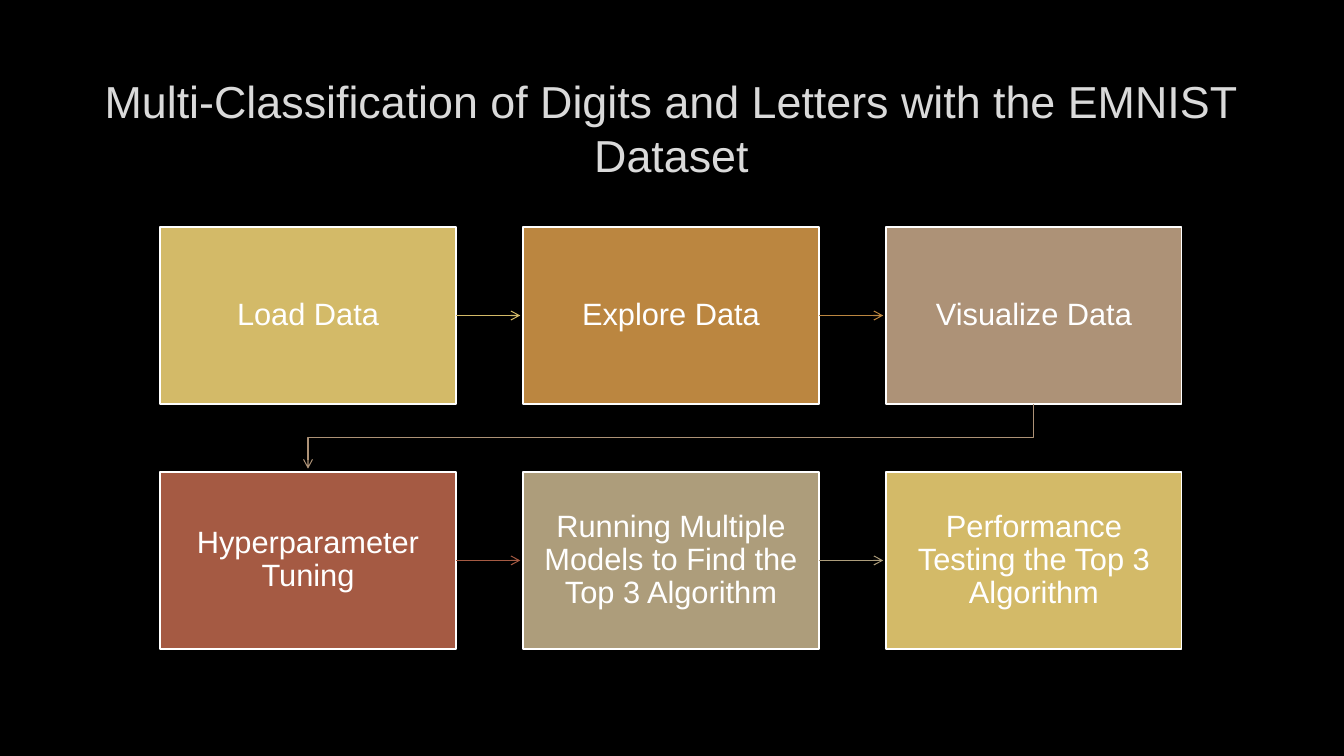
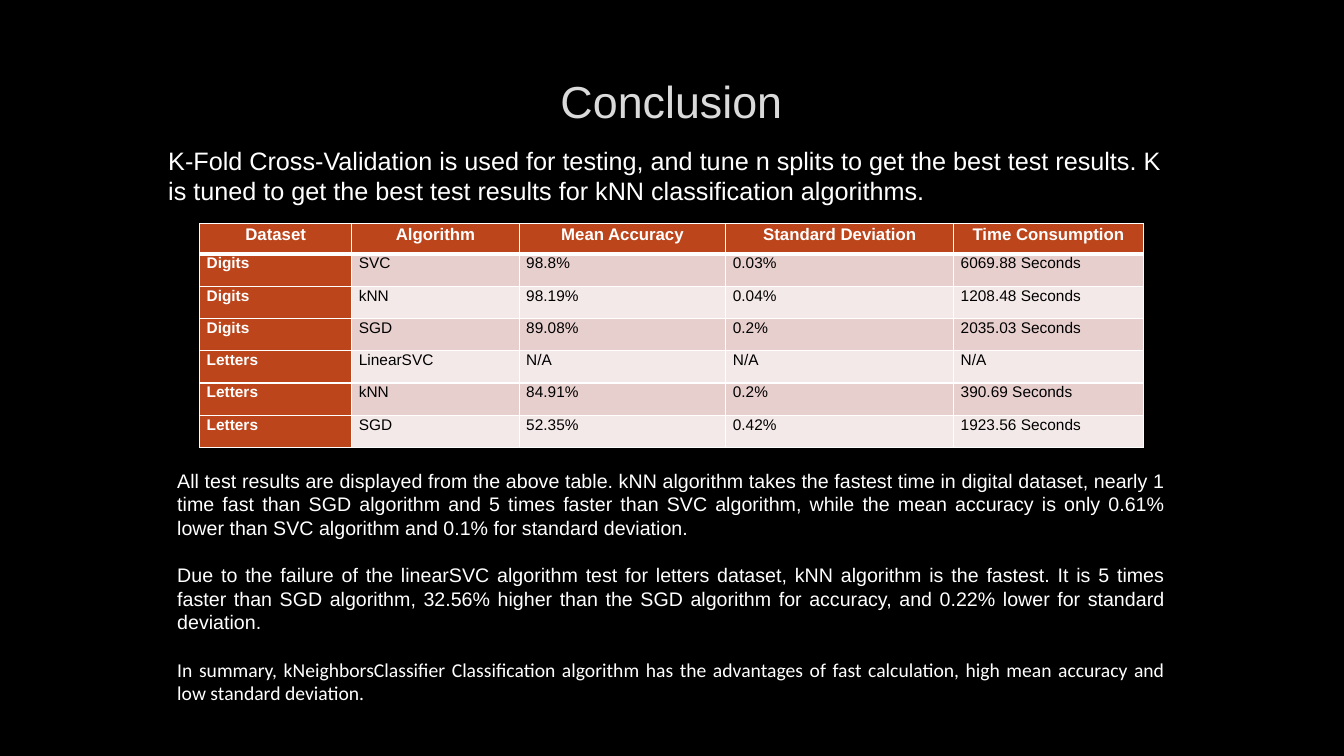
import pptx
import pptx.dml.color
import pptx.enum.shapes
import pptx.enum.text
import pptx.oxml
import pptx.oxml.ns
import pptx.util

Inches = pptx.util.Inches
Pt = pptx.util.Pt
ALIGN = pptx.enum.text.PP_ALIGN
ANCHOR = pptx.enum.text.MSO_ANCHOR

COLORS = {
    "background": "000000",
    "title": "DADADA",
    "white": "FFFFFF",
    "black": "000000",
    "gold": "D3BA68",
    "ochre": "BB8640",
    "taupe": "AD9277",
    "brick": "A55A43",
    "khaki": "AD9D7B",
    "header": "BC451B",
    "band_dark": "E7CFCD",
    "band_light": "F3E9E8",
}

STEPS = [
    ("Load Data", "gold"),
    ("Explore Data", "ochre"),
    ("Visualize Data", "taupe"),
    ("Hyperparameter Tuning", "brick"),
    ("Running Multiple Models to Find the Top 3 Algorithm", "khaki"),
    ("Performance Testing the Top 3 Algorithm", "gold"),
]
STEP_COLUMNS = 3
STEP_LEFT, STEP_TOP = 1.59, 2.25
STEP_WIDTH, STEP_HEIGHT = 2.93, 1.76
STEP_PITCH_X, STEP_PITCH_Y = 3.6, 2.43
ARROW_GAP = 0.03

RESULTS = [
    ("Dataset", "Algorithm", "Mean Accuracy", "Standard Deviation", "Time Consumption"),
    ("Digits", "SVC", "98.8%", "0.03%", "6069.88 Seconds"),
    ("Digits", "kNN", "98.19%", "0.04%", "1208.48 Seconds"),
    ("Digits", "SGD", "89.08%", "0.2%", "2035.03 Seconds"),
    ("Letters", "LinearSVC", "N/A", "N/A", "N/A"),
    ("Letters", "kNN", "84.91%", "0.2%", "390.69 Seconds"),
    ("Letters", "SGD", "52.35%", "0.42%", "1923.56 Seconds"),
]
RESULT_WIDTHS = [1.51, 1.66, 2.05, 2.26, 1.88]

INTRO = (
    "K-Fold Cross-Validation is used for testing, and tune n splits to get the best test "
    "results. K is tuned to get the best test results for kNN classification algorithms."
)
FINDINGS = [
    "All test results are displayed from the above table. kNN algorithm takes the fastest time "
    "in digital dataset, nearly 1 time fast than SGD algorithm and 5 times faster than SVC "
    "algorithm, while the mean accuracy is only 0.61% lower than SVC algorithm and 0.1% for "
    "standard deviation.",
    "Due to the failure of the linearSVC algorithm test for letters dataset, kNN algorithm is "
    "the fastest. It is 5 times faster than SGD algorithm, 32.56% higher than the SGD algorithm "
    "for accuracy, and 0.22% lower for standard deviation.",
]
SUMMARY = (
    "In summary, kNeighborsClassifier Classification algorithm has the advantages of fast "
    "calculation, high mean accuracy and low standard deviation."
)


def rgb(name):
    return pptx.dml.color.RGBColor.from_string(COLORS[name])


def write(tf, text, size=14, color="white", font="Arial", bold=False, align=ALIGN.LEFT,
          before=0, after=0, spacing=1.0):
    """Fill the first paragraph of a text frame, or append one if it is taken."""
    p = tf.paragraphs[0]
    if p.runs:
        p = tf.add_paragraph()
    p.alignment = align
    p.space_before, p.space_after = Pt(before), Pt(after)
    p.line_spacing = spacing
    r = p.add_run()
    r.text = text
    r.font.size, r.font.name, r.font.bold = Pt(size), font, bold
    r.font.color.rgb = rgb(color)


def add_slide(prs, title, left, top, width, height):
    s = prs.slides.add_slide(prs.slide_layouts.get_by_name("Title Only"))
    sp = s.shapes.title
    sp.left, sp.top = Inches(left), Inches(top)
    sp.width, sp.height = Inches(width), Inches(height)
    tf = sp.text_frame
    tf.auto_size = pptx.enum.text.MSO_AUTO_SIZE.NONE
    tf.word_wrap = True
    tf.vertical_anchor = ANCHOR.MIDDLE
    write(tf, title, size=32, color="title", align=ALIGN.CENTER)
    return s


def add_text_box(s, left, top, width, height):
    sp = s.shapes.add_textbox(Inches(left), Inches(top), Inches(width), Inches(height))
    sp.text_frame.word_wrap = True
    return sp.text_frame


def add_step(s, left, top, text, color):
    sp = s.shapes.add_shape(pptx.enum.shapes.MSO_SHAPE.RECTANGLE, Inches(left), Inches(top),
                            Inches(STEP_WIDTH), Inches(STEP_HEIGHT))
    sp.shadow.inherit = False
    sp.fill.solid()
    sp.fill.fore_color.rgb = rgb(color)
    sp.line.color.rgb = rgb("white")
    sp.line.width = Pt(1.25)
    tf = sp.text_frame
    tf.word_wrap = True
    tf.vertical_anchor = ANCHOR.MIDDLE
    tf.margin_left = tf.margin_right = tf.margin_top = tf.margin_bottom = Inches(0.17)
    write(tf, text, size=22, align=ALIGN.CENTER, spacing=0.9)


def style_arrow(sp, color):
    sp.line.color.rgb = rgb(color)
    sp.line.width = Pt(0.75)
    ln = sp.line._get_or_add_ln()
    ln.append(pptx.oxml.parse_xml(f'<a:tailEnd {pptx.oxml.ns.nsdecls("a")} type="arrow"/>'))


def add_straight_arrow(s, start, end, color):
    cn = s.shapes.add_connector(pptx.enum.shapes.MSO_CONNECTOR.STRAIGHT,
                                *[Inches(v) for v in (*start, *end)])
    style_arrow(cn, color)
    cn._element.spPr.append(pptx.oxml.parse_xml(f'<a:effectLst {pptx.oxml.ns.nsdecls("a")}/>'))


def add_bent_arrow(s, start, end, color):
    """Arrow that leaves downwards, crosses halfway and arrives downwards."""
    middle = (start[1] + end[1] + ARROW_GAP) / 2
    points = [start, (start[0], middle), (end[0], middle), end]
    points = [(Inches(x), Inches(y)) for x, y in points]
    builder = s.shapes.build_freeform(*points[0])
    builder.add_line_segments(points[1:], close=False)
    sp = builder.convert_to_shape()
    sp.shadow.inherit = False
    sp.fill.background()
    style_arrow(sp, color)


def add_flow(s):
    spots = [(STEP_LEFT + i % STEP_COLUMNS * STEP_PITCH_X,
              STEP_TOP + i // STEP_COLUMNS * STEP_PITCH_Y) for i in range(len(STEPS))]
    for (x, y), (text, color) in zip(spots, STEPS):
        add_step(s, x, y, text, color)
    for (x, y), (next_x, next_y), (_, color) in zip(spots, spots[1:], STEPS):
        if y == next_y:
            center = y + STEP_HEIGHT / 2
            add_straight_arrow(s, (x + STEP_WIDTH, center), (next_x - ARROW_GAP, center), color)
        else:
            half = STEP_WIDTH / 2
            add_bent_arrow(s, (x + half, y + STEP_HEIGHT),
                           (next_x + half, next_y - ARROW_GAP), color)


def set_borders(cell, **widths):
    """Draw white cell borders; widths in points by side: L, R, T, B."""
    tcPr = cell._tc.get_or_add_tcPr()
    for side, width in widths.items():
        tcPr.append(pptx.oxml.parse_xml(
            f'<a:ln{side} {pptx.oxml.ns.nsdecls("a")} w="{Pt(width)}"><a:solidFill>'
            f'<a:srgbClr val="{COLORS["white"]}"/></a:solidFill></a:ln{side}>'))


def add_results_table(s, left, top):
    heights = [0.3] + [0.32] * (len(RESULTS) - 1)
    table = s.shapes.add_table(len(RESULTS), len(RESULT_WIDTHS), Inches(left), Inches(top),
                               Inches(sum(RESULT_WIDTHS)), Inches(sum(heights))).table
    for column, width in zip(table.columns, RESULT_WIDTHS):
        column.width = Inches(width)
    for i, (values, height) in enumerate(zip(RESULTS, heights)):
        table.rows[i].height = Inches(height)
        for j, text in enumerate(values):
            cell = table.cell(i, j)
            heading = i == 0 or j == 0
            band = "band_dark" if i % 2 else "band_light"
            set_borders(cell, L=1, R=1, T=3 if i == 1 else 1, B=3 if i == 0 else 1)
            cell.fill.solid()
            cell.fill.fore_color.rgb = rgb("header" if heading else band)
            cell.margin_left = cell.margin_right = Inches(0.07)
            cell.margin_top = cell.margin_bottom = 0
            write(cell.text_frame, text, size=11 if i else 12, bold=heading,
                  color="white" if heading else "black",
                  align=ALIGN.LEFT if i else ALIGN.CENTER, after=8, spacing=1.06)


def add_conclusion(s):
    add_results_table(s, 1.98, 2.22)
    write(add_text_box(s, 1.57, 1.39, 10.19, 0.71), INTRO, size=18)
    tf = add_text_box(s, 1.66, 4.6, 10, 2.46)
    for i, text in enumerate(FINDINGS):
        write(tf, text, align=ALIGN.JUSTIFY, before=17 if i else 0)
    write(tf, SUMMARY, font="Calibri", align=ALIGN.JUSTIFY, before=17)


def main():
    prs = pptx.Presentation()
    prs.slide_width, prs.slide_height = Inches(13.33), Inches(7.5)
    fill = prs.slide_master.background.fill
    fill.solid()
    fill.fore_color.rgb = rgb("background")
    add_flow(add_slide(prs, "Multi-Classification of Digits and Letters with the EMNIST Dataset",
                       0.53, 0.74, 12.26, 1.05))
    add_conclusion(add_slide(prs, "Conclusion", 1, 0.47, 11.32, 1.06))
    prs.save("out.pptx")


if __name__ == "__main__":
    main()
